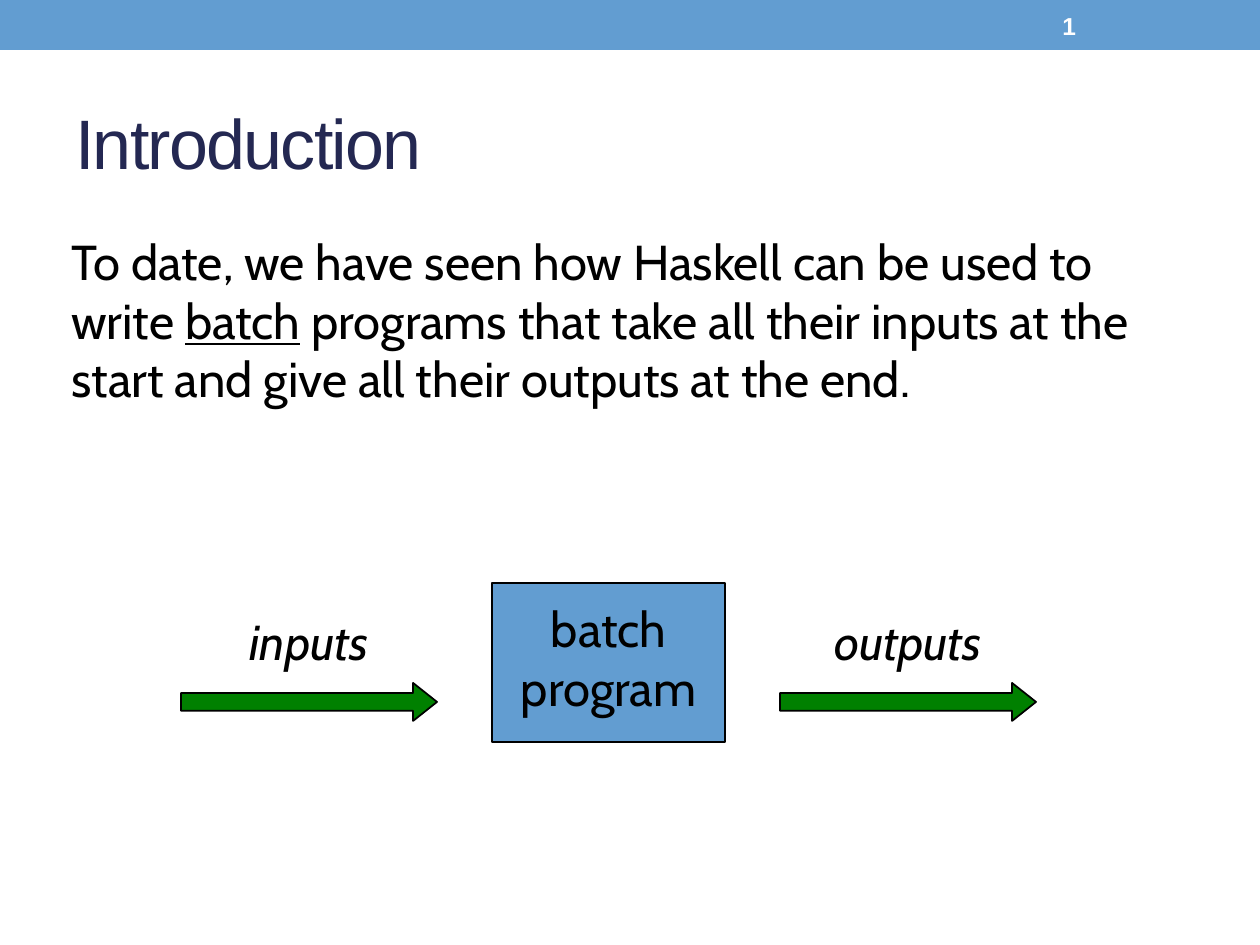
import pptx
import pptx.dml.color
import pptx.enum.shapes
import pptx.enum.text
import pptx.util

MSO_SHAPE = pptx.enum.shapes.MSO_SHAPE
ANCHOR = pptx.enum.text.MSO_ANCHOR
ALIGN = pptx.enum.text.PP_ALIGN

# Content: each paragraph is a list of (text, style) spans
TITLE = [[("Introduction", "title")]]
PAGE_NUMBER = [[("1", "number")]]
BODY = [[
    ("To date, we have seen how Haskell can be used to write ", "body"),
    ("batch", "term"),
    (" programs that take all their inputs at the start "
     "and give all their outputs at the end.", "body"),
]]
PROGRAM = [[("batch", "body")], [("program", "body")]]
FLOWS = [("inputs", 165), ("outputs", 199)]  # label, label width

THEME = {
    "blue": "629DD1", "green": "008000", "black": "000000",
    "title": dict(font="Arial", size=40, color="242852", spacing=-100),
    "number": dict(font="Arial", size=14, color="FFFFFF", bold=True),
    "body": dict(font="Cabin", size=28, color="000000"),
    "term": dict(font="Cabin", size=28, color="000000", underline=True),
    "label": dict(font="Cabin", size=28, color="000000", italic=True),
}

# Layout in px
PX_PER_INCH = 126
PAGE_WIDTH, PAGE_HEIGHT = 1260, 945
PROGRAM_LEFT, PROGRAM_TOP, PROGRAM_WIDTH, PROGRAM_HEIGHT = 492, 583, 233, 159
PROGRAM_TEXT_TOP, PROGRAM_TEXT_WIDTH, PROGRAM_TEXT_HEIGHT = 592, 209, 130
ARROW_TOP, ARROW_WIDTH, ARROW_HEIGHT, ARROW_GAP = 683, 256, 38, 55
LABEL_TOP, LABEL_HEIGHT = 605, 72


def px(length):
    return pptx.util.Emu(round(length * 914400 / PX_PER_INCH))


def rgb(value):
    return pptx.dml.color.RGBColor.from_string(value)


def add_text(page, area, paragraphs, anchor=ANCHOR.MIDDLE, align=ALIGN.LEFT,
             wrap=True):
    box = page.shapes.add_textbox(*map(px, area))
    frame = box.text_frame
    frame.word_wrap = wrap
    frame.vertical_anchor = anchor
    for index, spans in enumerate(paragraphs):
        para = frame.add_paragraph() if index else frame.paragraphs[0]
        para.alignment = align
        for text, style_name in spans:
            style = THEME[style_name]
            span = para.add_run()
            span.text = text
            span.font.name = style["font"]
            span.font.size = pptx.util.Pt(style["size"])
            span.font.color.rgb = rgb(style["color"])
            span.font.bold = style.get("bold")
            span.font.italic = style.get("italic")
            span.font.underline = style.get("underline")
            if "spacing" in style:
                span.font._element.set("spc", str(style["spacing"]))


def add_block(page, kind, area, fill, outlined=True):
    shape = page.shapes.add_shape(kind, *map(px, area))
    shape.shadow.inherit = False
    shape.fill.solid()
    shape.fill.fore_color.rgb = rgb(THEME[fill])
    if outlined:
        shape.line.color.rgb = rgb(THEME["black"])
        shape.line.width = pptx.util.Pt(1)
    else:
        shape.line.fill.background()
    return shape


def main():
    deck = pptx.Presentation()
    deck.slide_width, deck.slide_height = px(PAGE_WIDTH), px(PAGE_HEIGHT)
    page = deck.slides.add_slide(deck.slide_layouts[6])

    # Top band, title, page number and body
    add_block(page, MSO_SHAPE.RECTANGLE, (0, 0, PAGE_WIDTH, 50), "blue", False)
    add_text(page, (63, 73, 1134, 136), TITLE)
    add_text(page, (1050, 3, 147, 45), PAGE_NUMBER)
    add_text(page, (59, 225, 1157, 189), BODY, ANCHOR.TOP)

    # Program box
    add_block(page, MSO_SHAPE.RECTANGLE,
              (PROGRAM_LEFT, PROGRAM_TOP, PROGRAM_WIDTH, PROGRAM_HEIGHT), "blue")
    text_left = PROGRAM_LEFT + (PROGRAM_WIDTH - PROGRAM_TEXT_WIDTH) / 2
    add_text(page, (text_left, PROGRAM_TEXT_TOP, PROGRAM_TEXT_WIDTH,
                    PROGRAM_TEXT_HEIGHT), PROGRAM, align=ALIGN.CENTER, wrap=False)

    # Arrows on both sides, each with its label centred above
    arrow_lefts = (PROGRAM_LEFT - ARROW_GAP - ARROW_WIDTH,
                   PROGRAM_LEFT + PROGRAM_WIDTH + ARROW_GAP)
    for (label, label_width), left in zip(FLOWS, arrow_lefts):
        label_left = left + (ARROW_WIDTH - label_width) / 2
        add_text(page, (label_left, LABEL_TOP, label_width, LABEL_HEIGHT),
                 [[(label, "label")]], align=ALIGN.CENTER)
        arrow = add_block(page, MSO_SHAPE.RIGHT_ARROW,
                          (left, ARROW_TOP, ARROW_WIDTH, ARROW_HEIGHT), "green")
        arrow.adjustments[0], arrow.adjustments[1] = 0.47, 0.63

    deck.save("out.pptx")


if __name__ == "__main__":
    main()
